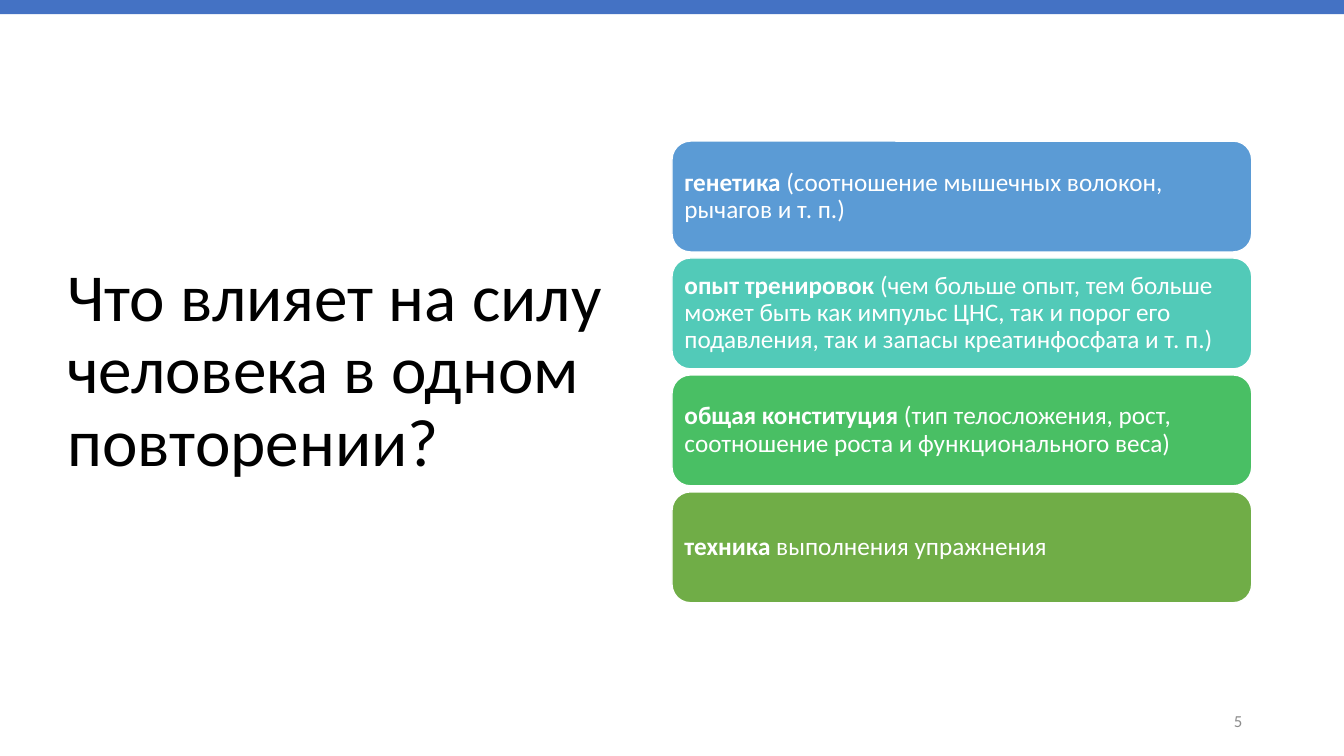
from dataclasses import dataclass
from pptx import Presentation, util as u
from pptx.dml.color import RGBColor
from pptx.enum import shapes, text

WIDE, HIGH = 13.33, 7.5


@dataclass(frozen=True)
class Theme:
    font: str = "Calibri"
    ink: str = "000000"
    paper: str = "FFFFFF"
    band: str = "4472C4"
    muted: str = "8C8C8C"
    cards: tuple = ("5B9BD5", "52CAB8", "49BF64", "70AD47")
    title: int = 48
    body: int = 18
    small: int = 12


THEME = Theme()
FACTORS = [
    ("генетика", " (соотношение мышечных волокон, рычагов и т. п.)"),
    ("опыт тренировок ", "(чем больше опыт, тем больше может быть как импульс ЦНС, "
     "так и порог его подавления, так и запасы креатинфосфата и т. п.)"),
    ("общая конституция ", "(тип телосложения, рост, соотношение роста "
     "и функционального веса)"),
    ("техника", " выполнения упражнения"),
]


def inches(box):
    return [u.Inches(n) for n in box]


def write(shape, runs, size, color, align=text.PP_ALIGN.LEFT, lines=0.9):
    """Fill a shape with one paragraph of (words, bold) runs."""
    frame = shape.text_frame
    frame.word_wrap = True
    frame.vertical_anchor = text.MSO_ANCHOR.MIDDLE
    para = frame.paragraphs[0]
    para.alignment, para.line_spacing = align, lines
    para.font.name, para.font.size = THEME.font, u.Pt(size)
    para.font.color.rgb = RGBColor.from_string(color)
    for words, bold in runs:
        run = para.add_run()
        run.text, run.font.bold = words, bold
    return frame


def block(slide, kind, box, color):
    shape = slide.shapes.add_shape(kind, *inches(box))
    shape.shadow.inherit = False
    shape.fill.solid()
    shape.fill.fore_color.rgb = RGBColor.from_string(color)
    shape.line.fill.background()
    return shape


def label(slide, box, words, size, color, **style):
    shape = slide.shapes.add_textbox(*inches(box))
    write(shape, [(words, False)], size, color, **style)


def stack(slide, box, gap):
    """Divide the box into equal rows, one card for each factor."""
    left, top, width, height = box
    count = len(FACTORS)
    tall = (height - gap * (count - 1)) / count
    for row, ((head, rest), color) in enumerate(zip(FACTORS, THEME.cards)):
        place = (left, top + row * (tall + gap), width, tall)
        card = block(slide, shapes.MSO_SHAPE.ROUNDED_RECTANGLE, place, color)
        card.line.width = u.Pt(1)
        card.line.color.rgb = RGBColor.from_string(THEME.paper)
        frame = write(card, [(head, True), (rest, False)], THEME.body, THEME.paper)
        frame.margin_left = frame.margin_right = u.Inches(0.07)
        frame.margin_top = frame.margin_bottom = u.Inches(0.07)


def build(slide):
    block(slide, shapes.MSO_SHAPE.RECTANGLE, (0, 0, WIDE, 0.14), THEME.band)
    label(slide, (0.57, 0.68, 5.67, 6.02),
          "Что влияет на силу человека в одном повторении?", THEME.title, THEME.ink)
    stack(slide, (WIDE / 2, 1.4, 5.75, 4.58), 0.06)
    label(slide, (9.42, 6.95, 3, 0.4), "5", THEME.small, THEME.muted,
          align=text.PP_ALIGN.RIGHT, lines=1.0)


def main():
    deck = Presentation()
    deck.slide_width, deck.slide_height = inches((WIDE, HIGH))
    build(deck.slides.add_slide(deck.slide_layouts[6]))
    deck.save("out.pptx")


if __name__ == "__main__":
    main()
